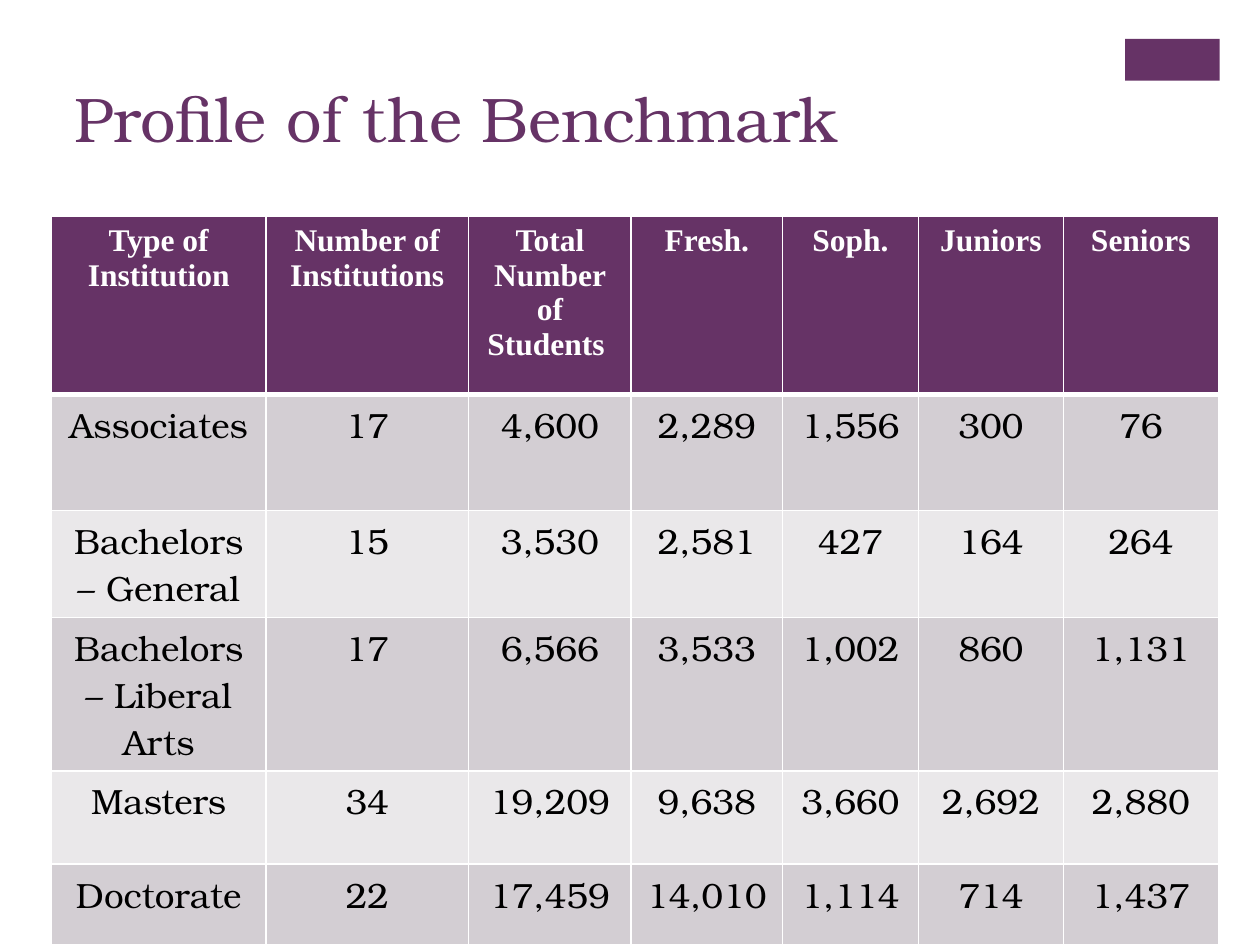
from lxml.etree import SubElement
from pptx import Presentation
from pptx.dml.color import RGBColor
from pptx.enum.shapes import MSO_SHAPE as Shape
from pptx.enum.text import MSO_ANCHOR as Anchor, PP_ALIGN as Align
from pptx.oxml.ns import qn
from pptx.util import Inches, Pt

COLORS = {
    "purple": "663366",
    "band_dark": "D3CED3",
    "band_light": "EAE8EA",
    "white": "FFFFFF",
    "black": "000000",
}
SERIF = "TeX Gyre Bonum"
HEADER_FONT = "Times New Roman"

COLUMN_WIDTHS = [1.7, 1.61, 1.29, 1.2, 1.08, 1.15, 1.23]
# Tall enough for the two- and three-line labels; the last row ends at the slide's edge
ROW_HEIGHTS = [1.41, 0.92, 0.85, 1.22, 0.74, 0.64]
ROWS = [
    ["Type of Institution", "Number of Institutions", "Total Number of Students ",
     "Fresh.", "Soph.", "Juniors", "Seniors"],
    ["Associates ", "17", "4,600", "2,289", "1,556", "300", "76"],
    ["Bachelors – General", "15", "3,530", "2,581", "427", "164", "264"],
    ["Bachelors – Liberal Arts", "17", "6,566", "3,533", "1,002", "860", "1,131"],
    ["Masters", "34", "19,209", "9,638", "3,660", "2,692", "2,880"],
    ["Doctorate", "22", "17,459", "14,010", "1,114", "714", "1,437"],
]


def rgb(name):
    return RGBColor.from_string(COLORS[name])


def add_text(para, text, size, font, color, bold=False):
    span = para.add_run()
    span.text = text
    span.font.size = Pt(size)
    span.font.name = font
    span.font.bold = bold
    span.font.color.rgb = rgb(color)


def add_accent(page):
    block = page.shapes.add_shape(
        Shape.RECTANGLE, Inches(8.93), Inches(0.31), Inches(0.75), Inches(0.33))
    block.shadow.inherit = False
    block.fill.solid()
    block.fill.fore_color.rgb = rgb("purple")
    block.line.fill.background()


def add_title(page, text):
    box = page.shapes.add_textbox(
        Inches(0.49), Inches(0.57), Inches(8.26), Inches(0.72))
    box.text_frame.word_wrap = True
    box.text_frame.vertical_anchor = Anchor.MIDDLE
    add_text(box.text_frame.paragraphs[0], text, 36, SERIF, "purple")


def set_borders(cell, widths):
    """Draw white borders; they must come before the fill in the cell's XML."""
    properties = cell._tc.get_or_add_tcPr()
    for side, width in widths.items():
        line = SubElement(properties, qn(f"a:ln{side}"), w=str(Pt(width)))
        fill = SubElement(line, qn("a:solidFill"))
        SubElement(fill, qn("a:srgbClr"), val=COLORS["white"])


def fill_cell(cell, text, row):
    is_header = row == 0
    # A thicker rule parts the header from the body
    set_borders(cell, {"L": 1, "R": 1, "T": 3 if row == 1 else 1,
                       "B": 3 if is_header else 1})
    cell.fill.solid()
    band = "band_dark" if row % 2 else "band_light"
    cell.fill.fore_color.rgb = rgb("purple" if is_header else band)
    para = cell.text_frame.paragraphs[0]
    para.alignment = Align.CENTER
    if is_header:
        add_text(para, text, 18, HEADER_FONT, "white", bold=True)
    else:
        add_text(para, text, 20, SERIF, "black")


def add_benchmark_table(page):
    table = page.shapes.add_table(
        len(ROWS), len(COLUMN_WIDTHS), Inches(0.41), Inches(1.72),
        Inches(sum(COLUMN_WIDTHS)), Inches(sum(ROW_HEIGHTS))).table
    for column, width in zip(table.columns, COLUMN_WIDTHS):
        column.width = Inches(width)
    for row, height in zip(table.rows, ROW_HEIGHTS):
        row.height = Inches(height)
    for row, texts in enumerate(ROWS):
        for column, text in enumerate(texts):
            fill_cell(table.cell(row, column), text, row)


def main():
    deck = Presentation()
    deck.slide_width, deck.slide_height = Inches(10), Inches(7.5)
    page = deck.slides.add_slide(deck.slide_layouts[6])

    # Heading
    add_accent(page)
    add_title(page, "Profile of the Benchmark")

    # Institutions and students by type
    add_benchmark_table(page)

    deck.save("out.pptx")


if __name__ == "__main__":
    main()
